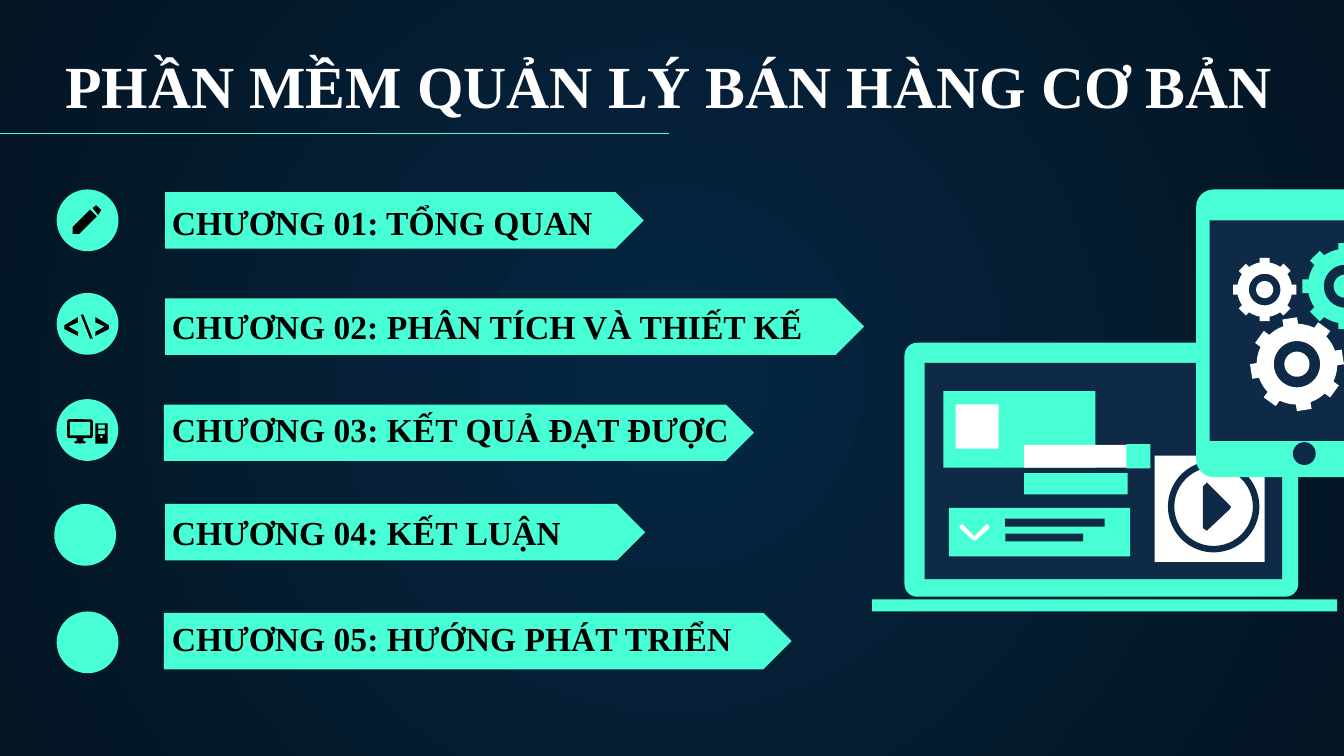
"""Build the chapter overview slide for a sales management project."""
from dataclasses import dataclass
from math import cos, pi, radians, sin, sqrt

from lxml import etree
from pptx import Presentation
from pptx import util as u
from pptx.dml.color import RGBColor
from pptx.enum import shapes, text
from pptx.oxml.ns import qn

KIND = shapes.MSO_SHAPE


@dataclass(frozen=True)
class Theme:
    mint: str = "48FFD5"
    navy: str = "0E2A47"
    white: str = "FFFFFF"
    black: str = "000000"
    glow: str = "052643"
    edge: str = "041523"
    font: str = "Times New Roman"
    title: int = 32
    chapter: int = 18
    hairline: float = 0.75


def rect(x, y, w, h):
    return [(x, y), (x + w, y), (x + w, y + h), (x, y + h)]


def circle(x, y, radius, steps=48):
    return [(x + radius * cos(2 * pi * i / steps), y + radius * sin(2 * pi * i / steps))
            for i in range(steps)]


def gear_rim(x, y, radius, tilt, teeth=8):
    half, root = 0.16 * radius, 0.87 * radius
    foot = sqrt(root ** 2 - half ** 2)
    tooth = [(foot, -half), (radius, -half), (radius, half), (foot, half)]
    gap = [(root * cos(pi / teeth * k), root * sin(pi / teeth * k)) for k in (0.75, 1, 1.25)]
    rim = []
    for i in range(teeth):
        a = radians(tilt) + 2 * pi * i / teeth
        rim += [(x + px * cos(a) - py * sin(a), y + px * sin(a) + py * cos(a))
                for px, py in tooth + gap]
    return rim


class Deck:
    COLUMNS = 100

    def __init__(self, theme):
        self.theme = theme
        self.prs = Presentation()
        self.prs.slide_width = u.Inches(10)
        self.prs.slide_height = self.prs.slide_width * 9 // 16
        self.cell = self.prs.slide_width / self.COLUMNS
        self.s = self.prs.slides.add_slide(self.prs.slide_layouts[6])

    def grid(self, *cells):
        return [u.Emu(round(c * self.cell)) for c in cells]

    def background(self):
        fill = self.s.background.fill
        fill.gradient()
        for stop, color in zip(fill.gradient_stops, (self.theme.glow, self.theme.edge)):
            stop.color.rgb = RGBColor.from_string(color)
        grad = self.s._element.find(".//" + qn("a:gradFill"))
        grad.remove(grad.find(qn("a:lin")))
        radial = etree.SubElement(grad, qn("a:path"), path="circle")
        etree.SubElement(radial, qn("a:fillToRect"), dict.fromkeys("ltrb", "50000"))

    def paint(self, sp, color):
        sp.shadow.inherit = False
        sp.fill.solid()
        sp.fill.fore_color.rgb = RGBColor.from_string(color)
        sp.line.fill.background()

    def shape(self, kind, box, color, adjust=None):
        sp = self.s.shapes.add_shape(kind, *self.grid(*box))
        if adjust is not None:
            sp.adjustments[0] = adjust
        self.paint(sp, color)

    def outline(self, color, *contours):
        first, *others = [[self.grid(*point) for point in c] for c in contours]
        builder = self.s.shapes.build_freeform(*first[0])
        builder.add_line_segments(first[1:])
        for contour in others:
            builder.move_to(*contour[0])
            builder.add_line_segments(contour[1:])
        self.paint(builder.convert_to_shape(), color)

    def gear(self, x, y, radius, color, tilt=0):
        self.outline(color, gear_rim(x, y, radius, tilt),
                     circle(x, y, 0.5 * radius), circle(x, y, 0.27 * radius))

    def line(self, x1, y1, x2, y2):
        c = self.s.shapes.add_connector(shapes.MSO_CONNECTOR.STRAIGHT, *self.grid(x1, y1, x2, y2))
        c.line.color.rgb = RGBColor.from_string(self.theme.mint)
        c.line.width = u.Pt(self.theme.hairline)
        etree.SubElement(c._element.spPr, qn("a:effectLst"))

    def text(self, box, words, size, color, frame=None, align=text.PP_ALIGN.LEFT):
        tf = self.s.shapes.add_textbox(*self.grid(*box)).text_frame
        for name, value in {"word_wrap": True, **(frame or {})}.items():
            setattr(tf, name, value)
        p = tf.paragraphs[0]
        p.alignment = align
        r = p.add_run()
        r.text = words
        for name, value in {"name": self.theme.font, "size": u.Pt(size), "bold": True}.items():
            setattr(r.font, name, value)
        r.font.color.rgb = RGBColor.from_string(color)


def add_chapters(deck):
    t = deck.theme
    chapters = [
        ("CHƯƠNG 01: TỔNG QUAN", 12.3, 14.3, 35.6, 42.2, 14.1, 14.5, 34.5),
        ("CHƯƠNG 02: PHÂN TÍCH VÀ THIẾT KẾ", 12.3, 22.2, 52, 42.2, 21.8, 22.3, 50.4),
        ("CHƯƠNG 03: KẾT QUẢ ĐẠT ĐƯỢC", 12.2, 30.1, 43.9, 42, 29.7, 29.9, 45.9),
        ("CHƯƠNG 04: KẾT LUẬN", 12.3, 37.5, 35.7, 40.4, 37.5, 37.6, 31.5),
        ("CHƯƠNG 05: HƯỚNG PHÁT TRIỂN", 12.2, 45.6, 46.7, 42.2, 45.5, 45.5, 45.9),
    ]
    for words, left, top, width, badge_left, badge_top, text_top, text_width in chapters:
        deck.shape(KIND.PENTAGON, (left, top, width, 4.2), t.mint, 0.5)
        deck.shape(KIND.OVAL, (badge_left / 10, badge_top, 4.6, 4.6), t.mint)
        deck.text((11.8, text_top, text_width, 4), words, t.chapter, t.black)


def add_icons(deck):
    ink = deck.theme.black
    pencil_tip = [(7.2, 15.3), (7.1, 15.3), (6.9, 15.5), (7.3, 16), (7.5, 15.7), (7.5, 15.6)]
    pencil_body = [(6.7, 15.6), (5.4, 16.9), (5.4, 17.4), (5.9, 17.4), (7.2, 16.1)]
    deck.outline(ink, pencil_tip, pencil_body)

    bracket = [(1, 1.4), (0, 0.9), (0, 0.6), (1, 0), (1, 0.4), (0.3, 0.7), (1, 1.1)]
    for tip, direction in ((4.8, 1), (8.1, -1)):
        deck.outline(ink, [(tip + direction * x, 23.6 + y) for x, y in bracket])
    deck.outline(ink, [(6.7, 25.2), (6, 23.4), (6.2, 23.4), (6.9, 25.2)])

    deck.shape(KIND.ROUNDED_RECTANGLE, (5, 31.2, 1.9, 1.4), ink, 0.12)
    deck.shape(KIND.RECTANGLE, (5.2, 31.4, 1.5, 1), deck.theme.mint)
    deck.outline(ink, [(5.7, 32.6), (6.2, 32.6), (6.2, 32.8), (6.4, 32.9), (6.3, 33),
                       (5.6, 33), (5.5, 32.9), (5.7, 32.8)])
    deck.outline(ink, rect(7.1, 31.5, 0.9, 1.5), rect(7.3, 31.6, 0.5, 0.3),
                 rect(7.3, 32, 0.5, 0.3), circle(7.55, 32.5, 0.1, 12))


def add_laptop(deck):
    t = deck.theme
    deck.shape(KIND.ROUNDED_RECTANGLE, (67.3, 25.5, 29.3, 18.9), t.mint, 0.05)
    panels = [
        (t.navy, 68.8, 27, 26.6, 16.1),
        (t.mint, 64.9, 44.6, 34.6, 0.9),
        (t.mint, 70.2, 29.1, 11.3, 5.7),
        (t.white, 71.1, 30.1, 3.2, 3.3),
        (t.mint, 70.6, 37.8, 13.5, 3.6),
        (t.navy, 74.8, 38.6, 7.4, 0.6),
        (t.navy, 74.8, 39.7, 5.8, 0.6),
        (t.mint, 76.2, 35.2, 7.7, 1.6),
        (t.white, 76.2, 33.1, 7.7, 1.7),
        (t.mint, 83.8, 33.05, 1.8, 1.8),
        (t.white, 85.9, 33.9, 8.2, 7.9),
    ]
    for color, *box in panels:
        deck.shape(KIND.RECTANGLE, box, color)
    deck.outline(t.white, [(71.4, 39.1), (71.6, 39), (72.5, 39.9), (73.4, 39), (73.6, 39.1),
                           (73.6, 39.3), (72.6, 40.2), (72.4, 40.2), (71.4, 39.3)])
    deck.shape(KIND.DONUT, (86.9, 34.3, 6.8, 6.8), t.navy, 0.07)
    deck.outline(t.navy, [(89.5, 36.2), (89.8, 35.9), (89.9, 36), (91.5, 37.6), (91.6, 37.7),
                          (91.5, 37.9), (89.9, 39.4), (89.8, 39.5), (89.5, 39.3)])


def add_tablet(deck):
    t = deck.theme
    deck.shape(KIND.ROUNDED_RECTANGLE, (89, 14.1, 16.1, 21.4), t.mint, 0.08)
    deck.shape(KIND.RECTANGLE, (90, 16.4, 13.6, 16.4), t.navy)
    deck.shape(KIND.OVAL, (96.2, 32.9, 1.7, 1.7), t.navy)
    deck.gear(100.1, 21.3, 3.2, t.mint)
    deck.gear(94.1, 21.55, 2.35, t.white)
    deck.gear(96.5, 27.1, 3.45, t.white, -9)


def main():
    deck = Deck(Theme())
    t = deck.theme
    deck.background()
    inset = u.Inches(0.1)
    frame = {"margin_top": inset, "margin_bottom": inset,
             "vertical_anchor": text.MSO_ANCHOR.BOTTOM}
    deck.text((0, 3.35, 99.6, 6.6), "PHẦN MỀM QUẢN LÝ BÁN HÀNG CƠ BẢN", t.title, t.white,
              frame, text.PP_ALIGN.CENTER)
    deck.line(-0.8, 9.95, 49.8, 9.95)
    add_chapters(deck)
    add_icons(deck)
    add_laptop(deck)
    add_tablet(deck)
    deck.prs.save("out.pptx")


if __name__ == "__main__":
    main()
